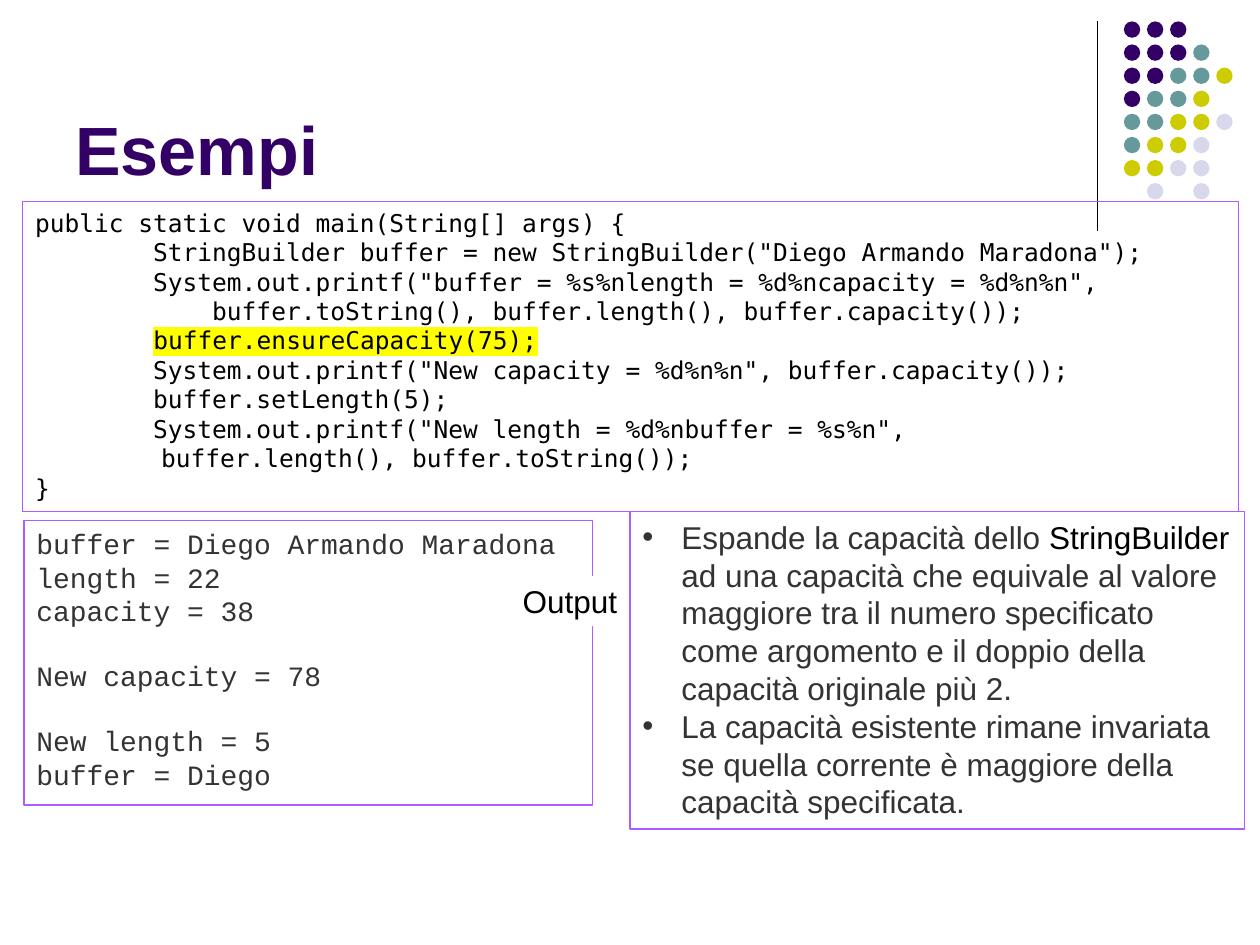
"""Build the "Esempi" slide: Java code, its output and notes on ensureCapacity."""
from dataclasses import dataclass

from lxml import etree
from pptx import Presentation
from pptx import util as u
from pptx.dml.color import RGBColor
from pptx.enum import shapes, text
from pptx.oxml import ns


@dataclass(frozen=True)
class Theme:
    purple: str = "330066"
    teal: str = "669999"
    olive: str = "CCCC00"
    lilac: str = "D8D8EC"
    frame: str = "AD5CFF"
    ink: str = "000000"
    grey: str = "333333"
    paper: str = "FFFFFF"
    marker: str = "FFFF00"
    title_size: int = 39
    body_size: int = 18
    output_size: int = 16
    code_size: int = 14
    line_width: float = 0.75
    sans: str = "Arial"
    mono: str = "Courier New"
    code: str = "DejaVu Sans Mono"


THEME = Theme()
COLUMNS, ROWS = 100, 75
SLIDE_WIDTH, SLIDE_HEIGHT = u.Inches(10), u.Inches(7.5)

TITLE = "Esempi"
CODE = [
    ["public static void main(String[] args) {"],
    ['        StringBuilder buffer = new StringBuilder("Diego Armando Maradona");'],
    ['        System.out.printf("buffer = %s%nlength = %d%ncapacity = %d%n%n",'],
    ["            buffer.toString(), buffer.length(), buffer.capacity());"],
    ["        ", ("buffer.ensureCapacity(75);", {"highlight": THEME.marker})],
    ['        System.out.printf("New capacity = %d%n%n", buffer.capacity());'],
    ["        buffer.setLength(5);"],
    ['        System.out.printf("New length = %d%nbuffer = %s%n",'],
    ["        \tbuffer.length(), buffer.toString());"],
    ["}"],
]
OUTPUT_GROUPS = [
    ["buffer = Diego Armando Maradona", "length = 22", "capacity = 38"],
    ["New capacity = 78"],
    ["New length = 5", "buffer = Diego"],
]
OUTPUT_LABEL = "Output"
NOTES = [
    [
        "Espande la capacità dello ",
        ("StringBuilder", {"color": THEME.ink}),
        " ad una capacità che equivale al valore maggiore tra il numero "
        "specificato come argomento e il doppio della capacità originale più 2.",
    ],
    [
        "La capacità esistente rimane invariata se quella corrente è maggiore "
        "della capacità specificata."
    ],
]

DOT_COLORS = {"P": THEME.purple, "T": THEME.teal, "O": THEME.olive, "L": THEME.lilac}
DOT_ROWS = ["PPP", "PPPT", "PPTTO", "PTTO", "TTOOL", "TOOL", "OOLL", " L L"]
DOT_LEFT, DOT_TOP, DOT_SIZE, DOT_PITCH = 89.2, 1.7, 1.3, 5.5 / 3

RULE = (87.1, 1.7, 87.1, 18.3)
TITLE_AREA = (5, 1.3, 82.5, 14.2)
CODE_AREA = (1.8, 16, 96.5, 24.6)
OUTPUT_AREA = (1.9, 41.3, 45.1, 22.6)
LABEL_AREA = (40.5, 45.7, 9.6, 4)
NOTES_AREA = (50, 40.6, 48.8, 25.2)


def place(left, top, right, bottom):
    """Turn grid columns and rows into slide lengths."""
    across, down = SLIDE_WIDTH / COLUMNS, SLIDE_HEIGHT / ROWS
    return [round(n * unit) for n, unit in zip((left, top, right, bottom), (across, down) * 2)]


def add_span(para, words, *, size, font, color, bold=False, highlight=None):
    """Add one formatted run of text to a paragraph."""
    span = para.add_run()
    span.text = words
    span.font.size = u.Pt(size)
    span.font.bold = bold
    span.font.color.rgb = RGBColor.from_string(color)
    span.font.name = font
    if highlight:
        mark = etree.Element(ns.qn("a:highlight"))
        etree.SubElement(mark, ns.qn("a:srgbClr"), val=highlight)
        span.font.fill  
        span._r.rPr.find(ns.qn("a:solidFill")).addnext(mark)


def add_bullet(para):
    """Give a paragraph a hanging round bullet."""
    props = para._p.get_or_add_pPr()
    indent = u.Inches(0.31)
    props.set("marL", str(indent))
    props.set("indent", str(-indent))
    etree.SubElement(props, ns.qn("a:buFont"), typeface=THEME.sans)
    etree.SubElement(props, ns.qn("a:buChar"), char="•")


def add_text(page, area, paras, *, line=None, fill=None, wrap=True, grow=True,
             anchor=text.MSO_ANCHOR.TOP, bullets=False, gaps=(), gap=0, **style):
    """Add a box whose paragraphs are lists of plain or specially formatted spans."""
    box = page.shapes.add_textbox(*place(*area))
    if fill:
        box.fill.solid()
        box.fill.fore_color.rgb = RGBColor.from_string(fill)
    if line:
        box.line.color.rgb = RGBColor.from_string(line)
        box.line.width = u.Pt(THEME.line_width)
    frame = box.text_frame
    frame.word_wrap = wrap
    frame.vertical_anchor = anchor
    frame.auto_size = text.MSO_AUTO_SIZE.SHAPE_TO_FIT_TEXT if grow else text.MSO_AUTO_SIZE.NONE
    for index, spans in enumerate(paras):
        para = frame.add_paragraph() if index else frame.paragraphs[0]
        if index in gaps:
            para.space_before = u.Pt(gap)
        if bullets:
            add_bullet(para)
        for span in spans:
            words, extra = (span, {}) if isinstance(span, str) else span
            add_span(para, words, **{**style, **extra})


def add_rule(page):
    """Add the upright line beside the dots."""
    rule = page.shapes.add_connector(shapes.MSO_CONNECTOR.STRAIGHT, *place(*RULE))
    rule.line.color.rgb = RGBColor.from_string(THEME.ink)
    rule.line.width = u.Pt(THEME.line_width)
    etree.SubElement(rule._element.spPr, ns.qn("a:effectLst"))


def add_dots(page):
    """Add the grid of coloured dots."""
    group = page.shapes.add_group_shape()
    for row, letters in enumerate(DOT_ROWS):
        for column, letter in enumerate(letters):
            if letter in DOT_COLORS:
                area = (DOT_LEFT + column * DOT_PITCH, DOT_TOP + row * DOT_PITCH, DOT_SIZE, DOT_SIZE)
                dot = group.shapes.add_shape(shapes.MSO_SHAPE.OVAL, *place(*area))
                dot.shadow.inherit = False
                dot.fill.solid()
                dot.fill.fore_color.rgb = RGBColor.from_string(DOT_COLORS[letter])
                dot.line.fill.background()


def main():
    """Assemble and save the deck."""
    deck = Presentation()
    deck.slide_width, deck.slide_height = SLIDE_WIDTH, SLIDE_HEIGHT
    page = deck.slides.add_slide(deck.slide_layouts[6])
    add_rule(page)
    add_dots(page)
    add_text(page, TITLE_AREA, [[TITLE]], grow=False, anchor=text.MSO_ANCHOR.BOTTOM,
             size=THEME.title_size, font=THEME.sans, color=THEME.purple, bold=True)
    add_text(page, CODE_AREA, CODE, line=THEME.frame,
             size=THEME.code_size, font=THEME.code, color=THEME.ink)
    output = [[words] for group in OUTPUT_GROUPS for words in group]
    starts = [sum(map(len, OUTPUT_GROUPS[:n])) for n in range(1, len(OUTPUT_GROUPS))]
    add_text(page, OUTPUT_AREA, output, line=THEME.frame, gaps=starts, gap=18,
             size=THEME.output_size, font=THEME.mono, color=THEME.grey)
    add_text(page, LABEL_AREA, [[OUTPUT_LABEL]], fill=THEME.paper, wrap=False,
             size=THEME.body_size, font=THEME.sans, color=THEME.ink)
    add_text(page, NOTES_AREA, NOTES, line=THEME.frame, bullets=True,
             size=THEME.body_size, font=THEME.sans, color=THEME.grey)
    deck.save("out.pptx")


if __name__ == "__main__":
    main()
